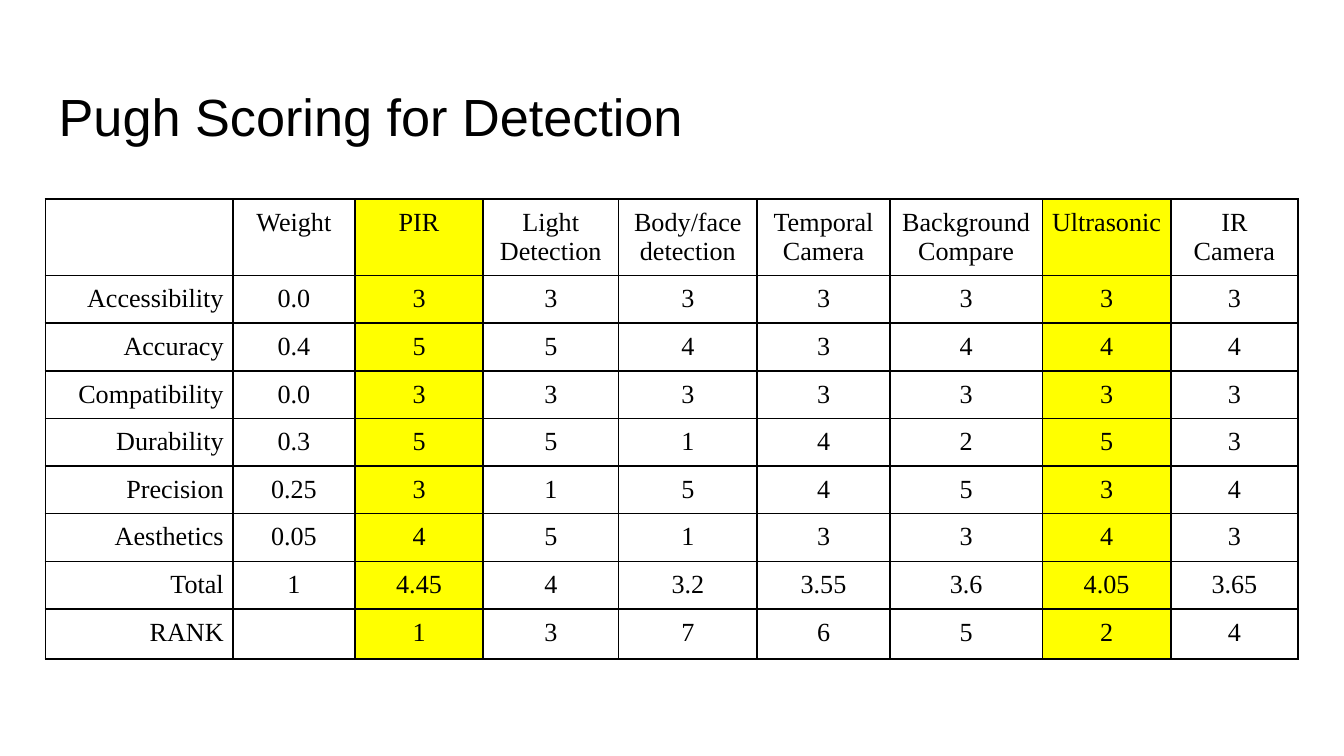
from pptx import Presentation
from pptx.dml.color import RGBColor
from pptx.enum import text
from pptx.oxml import parse_xml
from pptx.oxml.ns import nsdecls
from pptx.util import Cm, Pt

BLACK, YELLOW = "000000", "FFFF00"
LEFT, WIDTH = 0.86, 23.67
COLUMN_WIDTHS = [3.54, 2.31, 2.42, 2.56, 2.62, 2.51, 2.88, 2.43, 2.4]
ROW_HEIGHTS = [1.45] + [0.9] * 7 + [0.94]
CHOSEN = ("PIR", "Ultrasonic")
SCORES = [
    ["", "Weight", "PIR", "Light Detection", "Body/face detection",
     "Temporal Camera", "Background Compare", "Ultrasonic", "IR Camera"],
    ["Accessibility", "0.0", "3", "3", "3", "3", "3", "3", "3"],
    ["Accuracy", "0.4", "5", "5", "4", "3", "4", "4", "4"],
    ["Compatibility", "0.0", "3", "3", "3", "3", "3", "3", "3"],
    ["Durability", "0.3", "5", "5", "1", "4", "2", "5", "3"],
    ["Precision", "0.25", "3", "1", "5", "4", "5", "3", "4"],
    ["Aesthetics", "0.05", "4", "5", "1", "3", "3", "4", "3"],
    ["Total", "1", "4.45", "4", "3.2", "3.55", "3.6", "4.05", "3.65"],
    ["RANK", "", "1", "3", "7", "6", "5", "2", "4"],
]


def color(value):
    return RGBColor.from_string(value)


def format_font(font, name, size):
    font.name = name
    font.size = Pt(size)
    font.color.rgb = color(BLACK)


def add_title(page, words):
    title = page.shapes.title
    title.left, title.top = Cm(LEFT), Cm(1.24)
    title.width, title.height = Cm(WIDTH), Cm(1.6)
    frame = title.text_frame
    frame.text = words
    frame.auto_size = text.MSO_AUTO_SIZE.NONE
    frame.vertical_anchor = text.MSO_ANCHOR.TOP
    frame.margin_left = frame.margin_right = Cm(0.25)
    frame.margin_top, frame.margin_bottom = Cm(0.35), Cm(0)
    paragraph = frame.paragraphs[0]
    paragraph.alignment = text.PP_ALIGN.LEFT
    paragraph.line_spacing = 1.0
    format_font(paragraph.runs[0].font, "Arial", 28)


def add_borders(cell):
    properties = cell._tc.get_or_add_tcPr()
    for position, side in enumerate(("lnL", "lnR", "lnT", "lnB")):
        line = parse_xml(
            f'<a:{side} {nsdecls("a")} w="{Pt(1)}"><a:solidFill>'
            f'<a:srgbClr val="{BLACK}"/></a:solidFill></a:{side}>')
        properties.insert(position, line)


def fill_cell(cell, words, alignment, chosen):
    cell.text = words
    cell.margin_left = cell.margin_right = Cm(0.17)
    cell.margin_top = cell.margin_bottom = Cm(0.17)
    cell.vertical_anchor = text.MSO_ANCHOR.TOP
    paragraph = cell.text_frame.paragraphs[0]
    paragraph.alignment = alignment
    for span in paragraph.runs:
        format_font(span.font, "Times New Roman", 14)
    if not words:
        paragraph._p.get_or_add_endParaRPr().set("sz", "1400")
    if chosen:
        cell.fill.solid()
        cell.fill.fore_color.rgb = color(YELLOW)
    else:
        cell.fill.background()
    add_borders(cell)


def add_score_table(page):
    frame = page.shapes.add_table(
        len(SCORES), len(COLUMN_WIDTHS),
        Cm(LEFT), Cm(3.76), Cm(WIDTH), Cm(sum(ROW_HEIGHTS)))
    table = frame.table
    table.first_row = table.horz_banding = False
    for column, width in zip(table.columns, COLUMN_WIDTHS):
        column.width = Cm(width)
    for row, height in zip(table.rows, ROW_HEIGHTS):
        row.height = Cm(height)
    for row, values in zip(table.rows, SCORES):
        for index, (cell, words) in enumerate(zip(row.cells, values)):
            alignment = text.PP_ALIGN.CENTER if index else text.PP_ALIGN.RIGHT
            fill_cell(cell, words, alignment, SCORES[0][index] in CHOSEN)


def main():
    deck = Presentation()
    deck.slide_width, deck.slide_height = Cm(25.4), Cm(14.29)
    page = deck.slides.add_slide(deck.slide_layouts[5])
    add_title(page, "Pugh Scoring for Detection")
    add_score_table(page)
    deck.save("out.pptx")


if __name__ == "__main__":
    main()
